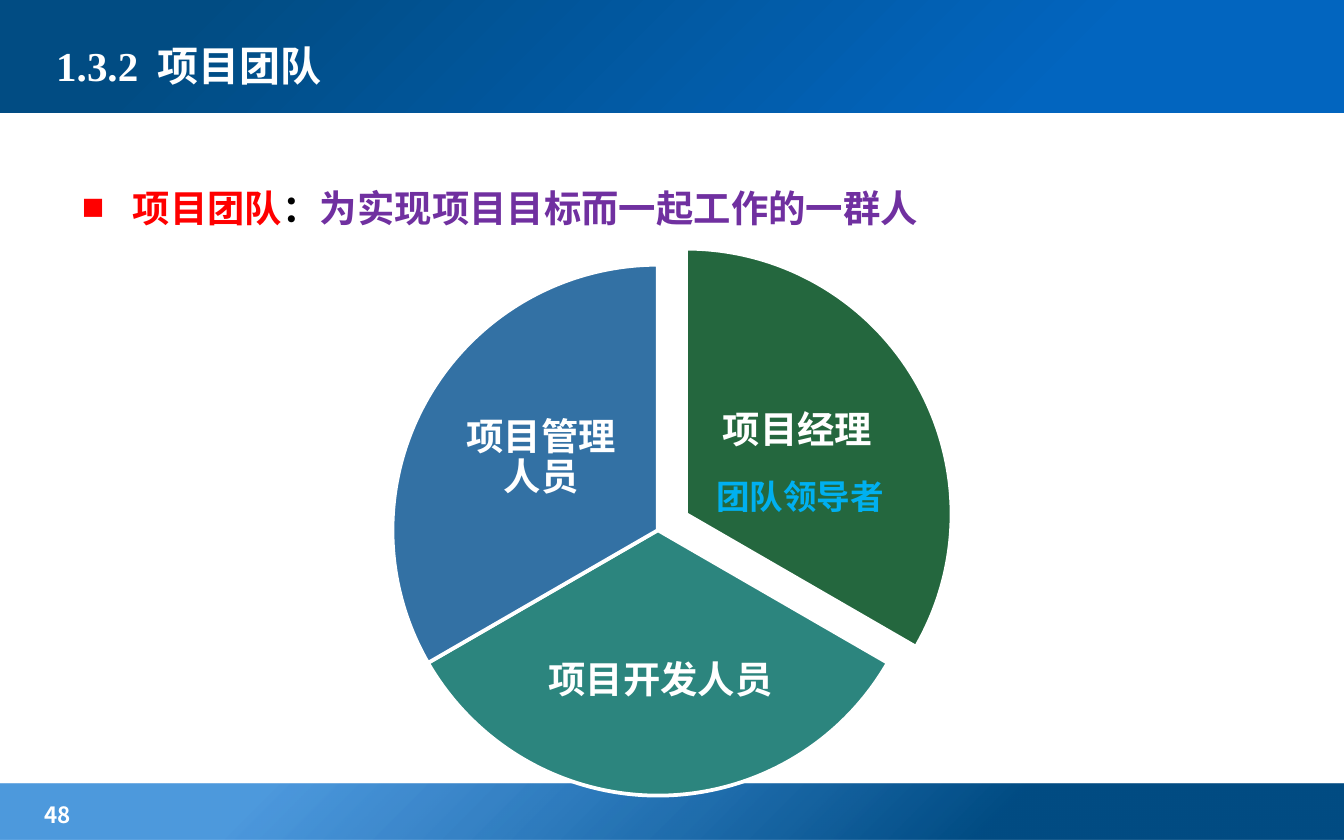
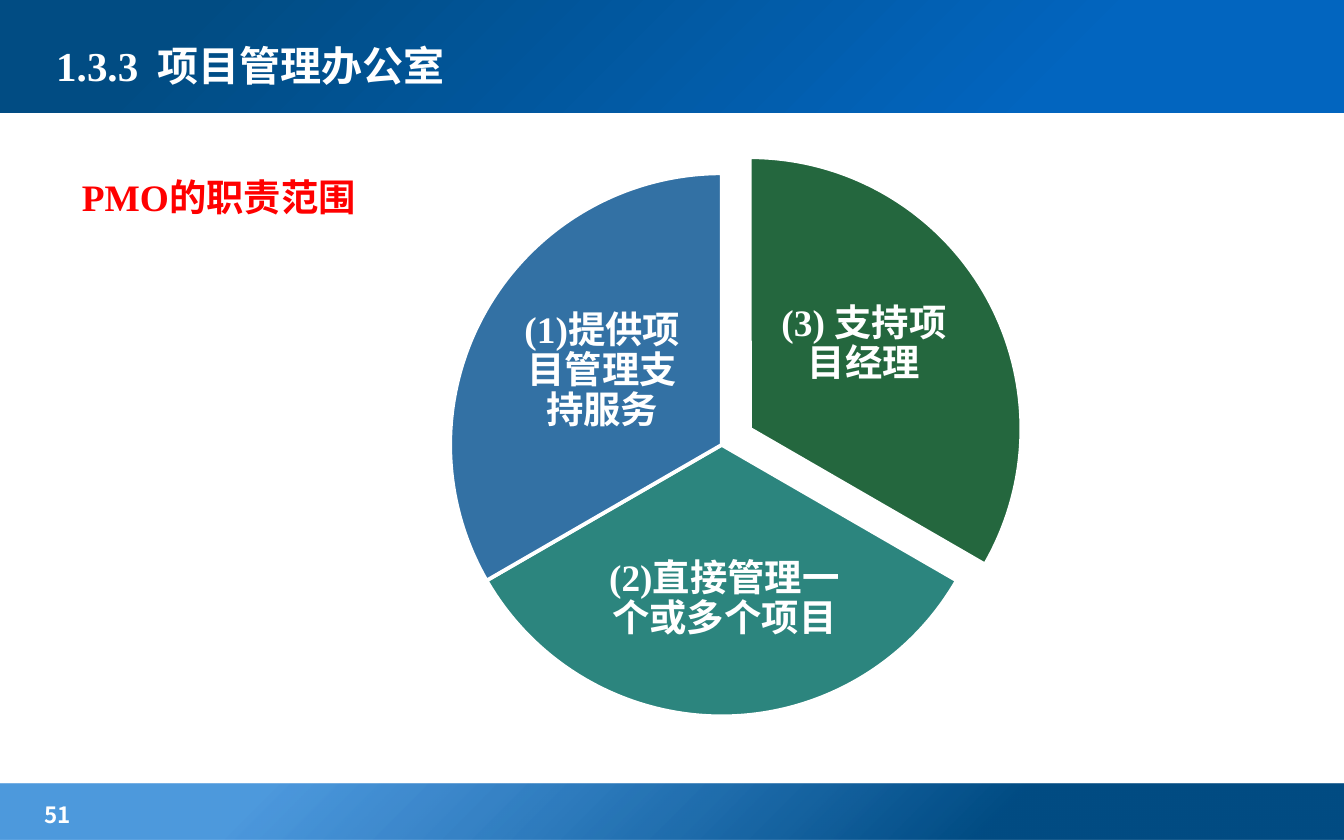
"""Build two slides on project teams and the project management office."""
from dataclasses import dataclass

from lxml import etree
from pptx import Presentation
from pptx.dml.color import RGBColor
from pptx.enum.shapes import MSO_SHAPE
from pptx.enum.text import MSO_ANCHOR, PP_ALIGN
from pptx.oxml import parse_xml
from pptx.oxml.ns import nsdecls, qn
from pptx.util import Inches, Pt

RECTANGLE, PIE = MSO_SHAPE.RECTANGLE, MSO_SHAPE.PIE
TOP, MIDDLE = MSO_ANCHOR.TOP, MSO_ANCHOR.MIDDLE
LEFT, CENTER = PP_ALIGN.LEFT, PP_ALIGN.CENTER


@dataclass(frozen=True)
class Theme:
    """Colours, fonts and type sizes of the deck."""
    latin: str = "Times New Roman"
    asian: str = "Noto Sans CJK SC"
    white: str = "FFFFFF"
    black: str = "000000"
    red: str = "FF0000"
    purple: str = "7030A0"
    sky: str = "00B0F0"
    green: str = "24673E"
    teal: str = "2C857E"
    blue: str = "3371A4"
    header_stops: tuple = ((21, "0265BF", 100), (86, "014C83", 100))
    footer_stops: tuple = ((26, "014C83", 100), (80, "026DCE", 70))
    title_size: int = 22
    body_size: int = 20
    note_size: int = 18
    number_size: int = 12


THEME = Theme()
SLICES = (
    (162, 18, THEME.green, (0.21, -0.12), (0.54, 0.18, 0.34, 0.33)),
    (18, 90, THEME.teal, (0, 0), (0.28, 0.63, 0.45, 0.31)),
    (90, 162, THEME.blue, (0, 0), (0.11, 0.2, 0.34, 0.33)),
)


def add_span(para, text, *, color=THEME.white, size=THEME.body_size,
             font=THEME.latin, tracking=0):
    """Append one bold run with the given format."""
    span = para.add_run()
    span.text = text
    span.font.name = font
    span.font.size = Pt(size)
    span.font.bold = True
    span.font.color.rgb = RGBColor.from_string(color)
    properties = span.font._element
    if tracking:
        properties.set("spc", str(tracking * 100))
    asian = etree.Element(qn("a:ea"), typeface=THEME.asian)
    properties.find(qn("a:latin")).addnext(asian)


class SlideWriter:
    """Holds the style and the current slide."""

    def __init__(self, deck, theme):
        """Remember the deck and its theme."""
        self.deck, self.theme = deck, theme
        self.shapes = None

    def start_page(self, section, title, number):
        """Add a slide with bands, number and title."""
        theme = self.theme
        page = self.deck.slides.add_slide(self.deck.slide_layouts[6])
        self.shapes = page.shapes
        self.band(5.83, 0.42, theme.footer_stops)
        self.band(-0.03, 0.87, theme.header_stops)
        para = self.text_box(0.2, 5.91, 1.57, 0.26, insets=(0.13, 0.05))
        add_span(para, str(number), size=theme.number_size, font=theme.asian)
        para = self.text_box(0.32, 0.13, 6.38, 0.71, anchor=MIDDLE)
        add_span(para, section, size=theme.title_size)
        add_span(para, " ", size=theme.title_size, tracking=5)
        add_span(para, title, size=theme.title_size)

    def band(self, top, height, stops):
        """Draw a full-width band shaded from its lower right corner."""
        shape = self.shapes.add_shape(
            RECTANGLE, 0, Inches(top), self.deck.slide_width, Inches(height))
        shape.shadow.inherit = False
        shape.line.fill.background()
        shape.fill.background()
        marks = "".join(
            f'<a:gs pos="{place * 1000}"><a:srgbClr val="{color}">'
            f'<a:alpha val="{alpha * 1000}"/></a:srgbClr></a:gs>'
            for place, color, alpha in stops)
        gradient = parse_xml(
            f'<a:gradFill {nsdecls("a")} rotWithShape="1"><a:gsLst>{marks}'
            '</a:gsLst><a:path path="circle"><a:fillToRect l="100000" '
            't="100000"/></a:path></a:gradFill>')
        properties = shape._element.spPr
        properties.replace(properties.find(qn("a:noFill")), gradient)

    def text_box(self, left, top, width, height, *, anchor=TOP, align=LEFT,
                 insets=(0.1, 0.05), spacing=1.0, after=0):
        """Add a wrapping text box and return its paragraph."""
        box = self.shapes.add_textbox(*map(Inches, (left, top, width, height)))
        frame = box.text_frame
        frame.word_wrap = True
        frame.vertical_anchor = anchor
        frame.margin_left = frame.margin_right = Inches(insets[0])
        frame.margin_top = frame.margin_bottom = Inches(insets[1])
        para = frame.paragraphs[0]
        para.alignment = align
        para.line_spacing = spacing
        para.space_after = Pt(after)
        return para

    def body(self, top, spans, bullet=False):
        """Write the body line from pairs of text and colour."""
        para = self.text_box(0.51, top, 8.98, 3.9, spacing=1.5)
        if bullet:
            properties = para._p.get_or_add_pPr()
            properties.set("marL", str(Inches(0.38)))
            properties.set("indent", str(Inches(-0.38)))
            etree.SubElement(properties, qn("a:buFont"), typeface=self.theme.latin)
            etree.SubElement(properties, qn("a:buChar"), char="■")
        for text, color in spans:
            add_span(para, text, color=color)

    def slice(self, left, top, size, start, end, color):
        """Draw one pie slice."""
        shape = self.shapes.add_shape(
            PIE, *map(Inches, (left, top, size, size)))
        shape.adjustments[0], shape.adjustments[1] = start, end
        shape.shadow.inherit = False
        shape.fill.solid()
        shape.fill.fore_color.rgb = RGBColor.from_string(color)
        shape.line.color.rgb = RGBColor.from_string(self.theme.white)
        shape.line.width = Pt(2)

    def pie(self, left, top, size, labels):
        """Group three labelled slices, the first one pulled out."""
        page_shapes = self.shapes
        self.shapes = page_shapes.add_group_shape().shapes
        for label, (start, end, color, shift, area) in zip(labels, SLICES):
            x, y = left + shift[0], top + shift[1]
            self.slice(x, y, size, start, end, color)
            across, down, width, height = (size * part for part in area)
            para = self.text_box(x + across, y + down, width, height,
                                 anchor=MIDDLE, align=CENTER, spacing=0.9,
                                 insets=(0.03, 0.03), after=7)
            add_span(para, label)
        self.shapes = page_shapes

    def note(self, left, top, width, height, text):
        """Write a short highlighted note."""
        para = self.text_box(left, top, width, height)
        add_span(para, text, color=self.theme.sky, size=self.theme.note_size)


def main():
    """Build and save the deck."""
    deck = Presentation()
    deck.slide_width, deck.slide_height = Inches(10), Inches(6.25)
    writer = SlideWriter(deck, THEME)

    writer.start_page("1.3.2", "项目团队", 48)
    writer.body(1.16, (("项目团队", THEME.red), (":".replace(":", "："), THEME.black),
                       ("为实现项目目标而一起工作的一群人", THEME.purple)),
                bullet=True)
    writer.pie(2.92, 1.97, 3.95, ("项目经理", "项目开发人员", "项目管理人员"))
    writer.note(5.23, 3.49, 1.48, 0.4, "团队领导者")

    writer.start_page("1.3.3", "项目管理办公室", 51)
    writer.body(1.08, (("PMO的职责范围", THEME.red),))
    writer.pie(3.35, 1.29, 4.04, ("(3) 支持项目经理", "(2)直接管理一个或多个项目",
                                  "(1)提供项目管理支持服务"))

    deck.save("out.pptx")


main()
